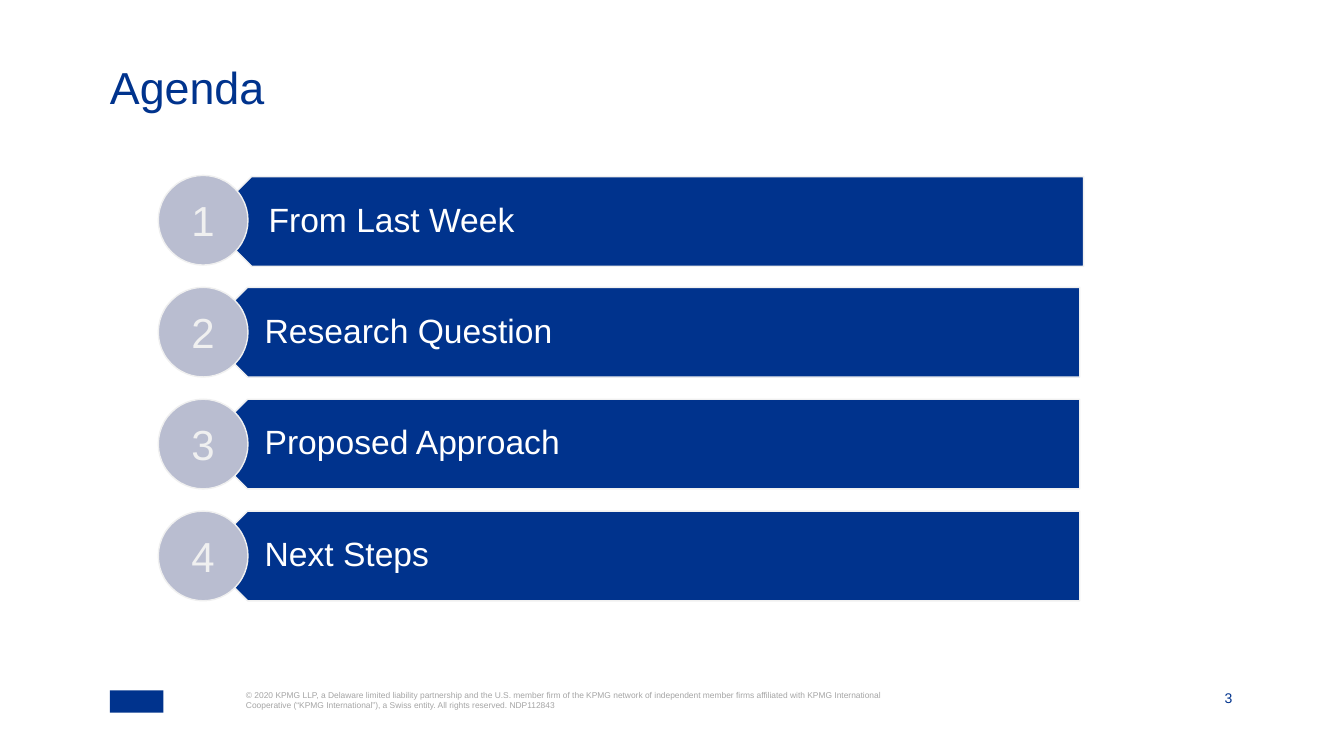
from pptx import Presentation
from pptx.dml.color import RGBColor
from pptx.enum import shapes, text
from pptx.util import Cm, Pt

NAVY = RGBColor(0x00, 0x33, 0x8D)
LAVENDER = RGBColor(0xB9, 0xBD, 0xD0)
PALE = RGBColor(0xF0, 0xF0, 0xF0)
WHITE = RGBColor(0xFF, 0xFF, 0xFF)
GREY = RGBColor(0xA5, 0xA5, 0xA5)


def write(sp, content, size, color, align=text.PP_ALIGN.LEFT,
          anchor=text.MSO_ANCHOR.TOP, margins=(0, 0, 0, 0), spacing=None):
    tf = sp.text_frame
    tf.word_wrap = True
    tf.auto_size = text.MSO_AUTO_SIZE.NONE
    tf.vertical_anchor = anchor
    tf.margin_left, tf.margin_top, tf.margin_right, tf.margin_bottom = map(Cm, margins)
    p = tf.paragraphs[0]
    p.alignment = align
    p.line_spacing = spacing
    r = p.add_run()
    r.text = content
    r.font.name = "Arial"
    r.font.size = Pt(size)
    r.font.color.rgb = color


def add_outlined(kind, left, top, width, height, fill):
    sp = s.shapes.add_shape(kind, Cm(left), Cm(top), Cm(width), Cm(height))
    sp.shadow.inherit = False
    sp.fill.solid()
    sp.fill.fore_color.rgb = fill
    sp.line.color.rgb = PALE
    sp.line.width = Pt(1)
    return sp


prs = Presentation()
prs.slide_width, prs.slide_height = Cm(33.87), Cm(19.05)
s = prs.slides.add_slide(prs.slide_layouts[5])

# Title
title = s.shapes.title
title.left, title.top, title.width, title.height = Cm(2.77), Cm(1.65), Cm(28.32), Cm(1.47)
write(title, "Agenda", 32, NAVY, spacing=0.9)

# Agenda rows: arrow bar, label and numbered circle
SIZE, PITCH, FIRST_TOP = 2.26, 2.82, 4.42
agenda = ["From Last Week", "Research Question", "Proposed Approach", "Next Steps"]
for i, topic in enumerate(agenda):
    top = FIRST_TOP + i * PITCH
    # The first bar sits slightly to the right of and below the others
    bar_left, bar_top = (5.21, top + 0.03) if i == 0 else (5.11, top)
    bar = add_outlined(shapes.MSO_SHAPE.PENTAGON, bar_left, bar_top, 22.1, SIZE, NAVY)
    bar.rotation = 180

    label = s.shapes.add_textbox(Cm(bar_left + 0.56), Cm(bar_top), Cm(21.51), Cm(SIZE))
    write(label, topic, 24, WHITE, anchor=text.MSO_ANCHOR.MIDDLE,
          margins=(1, 0.25, 0.5, 0.25), spacing=0.9)

    circle = add_outlined(shapes.MSO_SHAPE.OVAL, 3.99, top, SIZE, SIZE, LAVENDER)
    write(circle, str(i + 1), 30, PALE, align=text.PP_ALIGN.CENTER,
          anchor=text.MSO_ANCHOR.MIDDLE, margins=(0.25, 0.25, 0.25, 0.25))

# Footer: plain mark, copyright line and page number
mark = s.shapes.add_shape(shapes.MSO_SHAPE.RECTANGLE, Cm(2.77), Cm(17.4), Cm(1.35), Cm(0.56))
mark.shadow.inherit = False
mark.fill.solid()
mark.fill.fore_color.rgb = NAVY
mark.line.fill.background()

notice = s.shapes.add_textbox(Cm(6.2), Cm(17.4), Cm(16.23), Cm(1.04))
write(notice, "© 2020 KPMG LLP, a Delaware limited liability partnership and the U.S. "
      "member firm of the KPMG network of independent member firms affiliated with "
      "KPMG International Cooperative (“KPMG International”), a Swiss entity. "
      "All rights reserved. NDP112843", 6, GREY)

page = s.shapes.add_textbox(Cm(29.82), Cm(17.4), Cm(1.24), Cm(0.41))
write(page, "3", 10, NAVY, align=text.PP_ALIGN.RIGHT, anchor=text.MSO_ANCHOR.BOTTOM)

prs.save("out.pptx")
